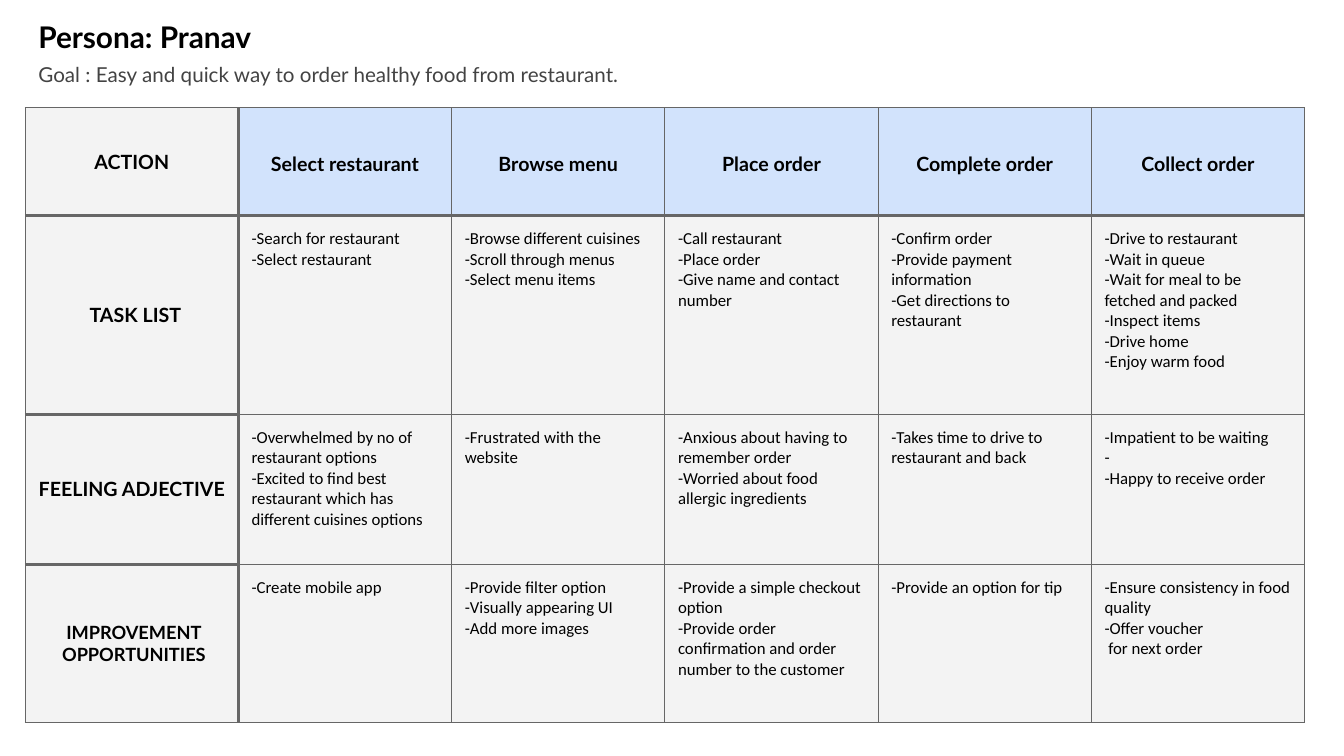
from lxml import etree
from pptx import Presentation
from pptx.dml.color import RGBColor
from pptx.enum.text import MSO_ANCHOR, MSO_AUTO_SIZE, PP_ALIGN
from pptx.oxml.ns import qn
from pptx.util import Inches, Pt

TOP, MIDDLE = MSO_ANCHOR.TOP, MSO_ANCHOR.MIDDLE
LEFT, CENTER = PP_ALIGN.LEFT, PP_ALIGN.CENTER
NO_AUTOFIT = MSO_AUTO_SIZE.NONE

BLACK = RGBColor(0x00, 0x00, 0x00)
DARK_GRAY = RGBColor(0x43, 0x43, 0x43)
BORDER_GRAY = RGBColor(0x66, 0x66, 0x66)
CELL_GRAY = RGBColor(0xF3, 0xF3, 0xF3)
HEADER_BLUE = RGBColor(0xD2, 0xE3, 0xFC)

MARGIN = Inches(0.13)
THIN, THICK = Pt(0.75), Pt(2.25)
ROW_HEIGHTS = [1.07, 1.97, 1.49, 1.57]

# Each cell is a list of paragraphs
JOURNEY = [
    [["ACTION"], ["Select restaurant"], ["Browse menu"], ["Place order"],
     ["Complete order"], ["Collect order"]],
    [["TASK LIST"],
     ["-Search for restaurant", "-Select restaurant"],
     ["-Browse different cuisines", "-Scroll through menus", "-Select menu items"],
     ["-Call restaurant", "-Place order", "-Give name and contact number"],
     ["-Confirm order", "-Provide payment information",
      "-Get directions to restaurant"],
     ["-Drive to restaurant", "-Wait in queue",
      "-Wait for meal to be fetched and packed", "-Inspect items", "-Drive home",
      "-Enjoy warm food"]],
    [["FEELING ADJECTIVE"],
     ["-Overwhelmed by no of restaurant options",
      "-Excited to find best restaurant which has different cuisines options"],
     ["-Frustrated with the website"],
     ["-Anxious about having to remember order",
      "-Worried about food allergic ingredients"],
     ["-Takes time to drive to restaurant and back"],
     ["-Impatient to be waiting", "-", "-Happy to receive order"]],
    [["IMPROVEMENT", "OPPORTUNITIES"],
     ["-Create mobile app"],
     ["-Provide filter option", "-Visually appearing UI", "-Add more images"],
     ["-Provide a simple checkout option",
      "-Provide order confirmation and order number to the customer"],
     ["-Provide an option for tip"],
     ["-Ensure consistency in food quality", "-Offer voucher", " for next order"]],
]
LAST_ROW = len(JOURNEY) - 1


def write_lines(text_frame, lines, size, font_name="Lato", color=BLACK, bold=False,
                align=LEFT, line_spacing=None):
    for index, line in enumerate(lines):
        paragraph = text_frame.paragraphs[0] if index == 0 else text_frame.add_paragraph()
        paragraph.alignment = align
        if line_spacing:
            paragraph.line_spacing = line_spacing
        run = paragraph.add_run()
        run.text = line
        run.font.name = font_name
        run.font.size = Pt(size)
        run.font.bold = bold
        run.font.color.rgb = color


def set_borders(cell, widths):
    """Draw the left, right, top and bottom borders, in that order."""
    properties = cell._tc.get_or_add_tcPr()
    for index, (side, width) in enumerate(zip("LRTB", widths)):
        line = etree.Element(qn(f"a:ln{side}"), w=str(width))
        fill = etree.SubElement(line, qn("a:solidFill"))
        etree.SubElement(fill, qn("a:srgbClr"), val=str(BORDER_GRAY))
        properties.insert(index, line)


def right_width(column):
    return THICK if column == 0 else THIN


def bottom_width(row, column):
    return THICK if row == 0 or (column == 0 and row < LAST_ROW) else THIN


def add_heading(slide, left, top, width):
    # Title and goal
    title = slide.shapes.title
    title.left, title.top = left, top
    title.width, title.height = Inches(4.48), Inches(0.59)
    goal = slide.shapes.add_textbox(left, top + Inches(0.42), width, Inches(0.39))
    for shape in (title, goal):
        frame = shape.text_frame
        frame.word_wrap = True
        frame.auto_size = NO_AUTOFIT
        frame.vertical_anchor = TOP
        frame.margin_left = frame.margin_right = MARGIN
        frame.margin_top = frame.margin_bottom = MARGIN
    write_lines(title.text_frame, ["Persona: Pranav"], 21.3, bold=True)
    write_lines(goal.text_frame,
                ["Goal : Easy and quick way to order healthy food from restaurant."],
                14.7, color=DARK_GRAY)


def fill_cell(cell, lines, row, column):
    is_label = row == 0 or column == 0
    is_stage = row == 0 and column > 0
    cell.fill.solid()
    cell.fill.fore_color.rgb = HEADER_BLUE if is_stage else CELL_GRAY
    cell.margin_left = cell.margin_right = MARGIN
    cell.margin_top = cell.margin_bottom = MARGIN
    cell.vertical_anchor = MIDDLE if is_label else TOP
    if is_label:
        write_lines(cell.text_frame, lines, 13 if row == LAST_ROW else 14, bold=True,
                    align=CENTER, line_spacing=1.15 if is_stage else None)
    else:
        write_lines(cell.text_frame, lines, 12, "Calibri")
    set_borders(cell, [
        right_width(column - 1) if column else THIN,
        right_width(column),
        bottom_width(row - 1, column) if row else THIN,
        bottom_width(row, column),
    ])


def add_journey_table(slide, left, top, width, height):
    column_count = len(JOURNEY[0])
    table = slide.shapes.add_table(len(JOURNEY), column_count,
                                   left, top, width, height).table
    for column in table.columns:
        column.width = width // column_count
    for row, row_height in zip(table.rows, ROW_HEIGHTS):
        row.height = Inches(row_height)
    for row, cells in enumerate(JOURNEY):
        for column, lines in enumerate(cells):
            fill_cell(table.cell(row, column), lines, row, column)

    # Small offsets of two row labels
    task_label = table.cell(1, 0).text_frame.paragraphs[0]._p.get_or_add_pPr()
    task_label.set("marL", str(Inches(0.19)))
    task_label.set("indent", str(Inches(-0.12)))
    table.cell(LAST_ROW, 0).margin_left = Inches(0.17)


def main():
    presentation = Presentation()
    presentation.slide_width = Inches(13.33)
    presentation.slide_height = Inches(7.5)
    title_only = presentation.slide_layouts.get_by_name("Title Only")
    slide = presentation.slides.add_slide(title_only)
    add_heading(slide, Inches(0.25), Inches(0.06), Inches(12.38))
    add_journey_table(slide, Inches(0.25), Inches(1.07), Inches(12.69),
                      Inches(sum(ROW_HEIGHTS)))
    presentation.save("out.pptx")


if __name__ == "__main__":
    main()
